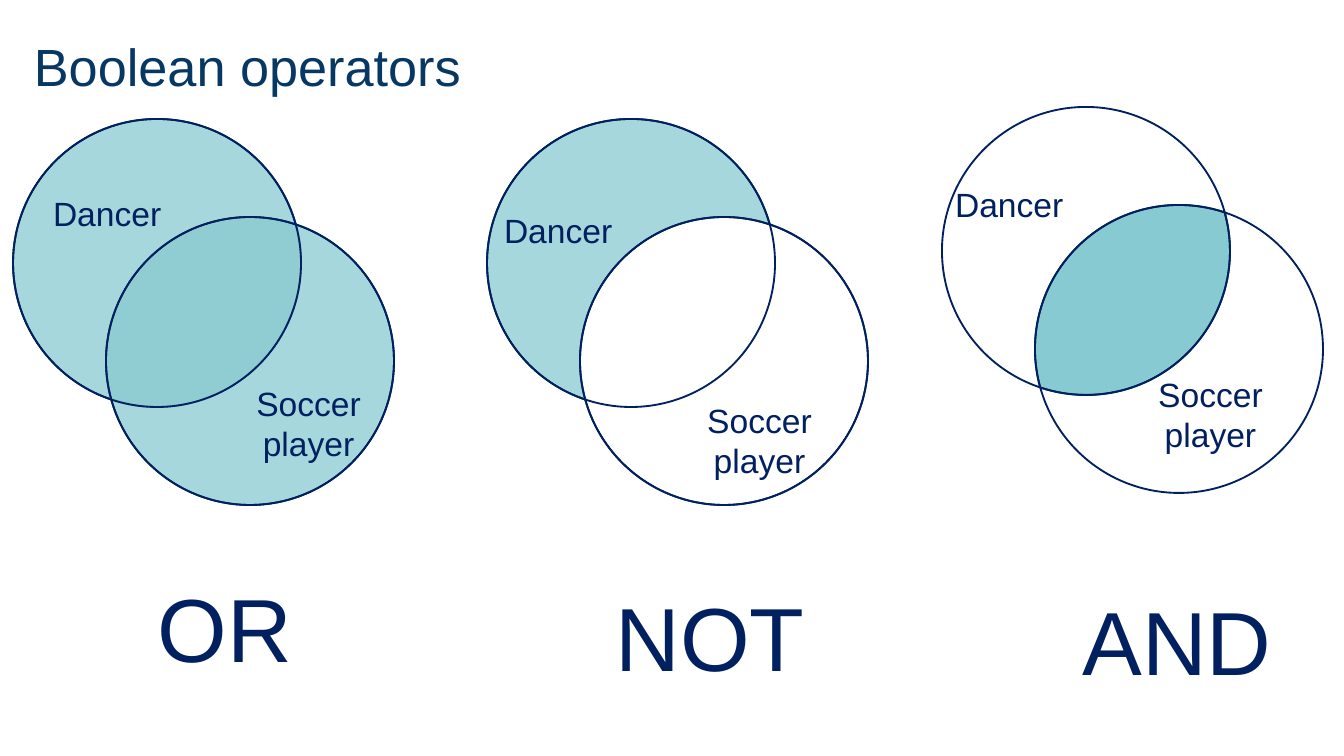
import math

import lxml.etree
import pptx
import pptx.dml.color
import pptx.enum.shapes
import pptx.enum.text
import pptx.oxml.ns
import pptx.util

NAVY = pptx.dml.color.RGBColor(0x00, 0x20, 0x60)
TITLE_BLUE = pptx.dml.color.RGBColor(0x07, 0x37, 0x63)
TEAL = pptx.dml.color.RGBColor(0x88, 0xCA, 0xD1)
WHITE = pptx.dml.color.RGBColor(0xFF, 0xFF, 0xFF)

EMU_PER_PX = 914400 / 134.4
SLIDE_SIZE = (1344, 756)
DIAMETER = 288
RADIUS = DIAMETER / 2
OFFSET = (93, 98)
LABEL_SIZE = (195, 79)
OPERATOR_SIZE = (230, 116)
SOCCER_SHIFT = (171, 190)

TITLE = ("Boolean operators", (24, 23), (1253, 85))
CIRCLE_DIAGRAMS = [
    {"origin": (13, 119), "fills": [(TEAL, 75), (TEAL, 75)]},
    {"origin": (487, 119), "fills": [(TEAL, 75), (WHITE, 100)]},
]
AND_ORIGIN = (942, 107)
CAPTIONS = [
    ("OR", (110, 560), (40, 180)),
    ("NOT", (595, 569), (491, 197)),
    ("AND", (1062, 573), (942, 171)),
]


def px(value):
    return pptx.util.Emu(round(value * EMU_PER_PX))


def shifted(point, shift):
    return point[0] + shift[0], point[1] + shift[1]


def style(shape, color=None, opacity=100):
    shape.shadow.inherit = False
    shape.line.color.rgb = NAVY
    shape.line.width = pptx.util.Pt(1)
    if color is None:
        shape.fill.background()
        return
    shape.fill.solid()
    shape.fill.fore_color.rgb = color
    if opacity < 100:
        color_element = shape.fill._xPr.find(".//" + pptx.oxml.ns.qn("a:srgbClr"))
        alpha = lxml.etree.SubElement(color_element, pptx.oxml.ns.qn("a:alpha"))
        alpha.set("val", str(opacity * 1000))


def add_circle(slide, origin, color=None, opacity=100):
    circle = slide.shapes.add_shape(
        pptx.enum.shapes.MSO_SHAPE.OVAL,
        px(origin[0]), px(origin[1]), px(DIAMETER), px(DIAMETER))
    style(circle, color, opacity)


def arc(center, start, end):
    low, high = sorted((start, end))
    quarter = math.pi / 2
    extremes = range(math.ceil(low / quarter), math.floor(high / quarter) + 1)
    angles = [low] + [number * quarter for number in extremes] + [high]
    if start > end:
        angles.reverse()

    def point(angle, tangent=0):
        return (px(center[0] + RADIUS * (math.cos(angle) - tangent * math.sin(angle))),
                px(center[1] + RADIUS * (math.sin(angle) + tangent * math.cos(angle))))

    curves = []
    for first, last in zip(angles, angles[1:]):
        handle = 4 / 3 * math.tan((last - first) / 4)
        curves.append((point(first, handle), point(last, -handle), point(last)))
    return curves


def add_region(slide, curves, color=None):
    ends = [curve[-1] for curve in curves]
    builder = slide.shapes.build_freeform(*ends[-1], scale=1.0)
    builder.add_line_segments(ends, close=True)
    region = builder.convert_to_shape()
    segments = list(region._element.iter(pptx.oxml.ns.qn("a:lnTo")))
    for segment, curve in zip(segments, curves):
        bezier = lxml.etree.Element(pptx.oxml.ns.qn("a:cubicBezTo"))
        for x, y in curve:
            lxml.etree.SubElement(bezier, pptx.oxml.ns.qn("a:pt"),
                                  x=str(x - region.left), y=str(y - region.top))
        segment.getparent().replace(segment, bezier)
    style(region, color)


def add_and_regions(slide):
    dancer = shifted(AND_ORIGIN, (RADIUS, RADIUS))
    soccer = shifted(dancer, OFFSET)
    axis = math.atan2(OFFSET[1], OFFSET[0])
    half = math.acos(math.hypot(*OFFSET) / DIAMETER)
    back, turn = axis + math.pi, 2 * math.pi
    dancer_inner = (dancer, axis - half, axis + half)
    soccer_inner = (soccer, back - half, back + half)
    dancer_outer = (dancer, axis + half, axis + turn - half)
    soccer_outer = (soccer, back + half, back + turn - half)
    add_region(slide, arc(*dancer_inner) + arc(*soccer_inner), TEAL)
    for outer, (center, start, end) in ((dancer_outer, soccer_inner),
                                        (soccer_outer, dancer_inner)):
        add_region(slide, arc(*outer) + arc(center, end, start))


def add_text(slide, text, origin, size, points, color=NAVY, inset=13,
             align=pptx.enum.text.PP_ALIGN.CENTER, anchor=pptx.enum.text.MSO_ANCHOR.TOP):
    box = slide.shapes.add_textbox(*(px(value) for value in origin + size))
    frame = box.text_frame
    frame.word_wrap = True
    frame.vertical_anchor = anchor
    frame.margin_left = frame.margin_right = px(inset)
    frame.margin_top = frame.margin_bottom = px(inset)
    paragraph = frame.paragraphs[0]
    paragraph.alignment = align
    run = paragraph.add_run()
    run.text = text
    run.font.name = "Arial"
    run.font.size = pptx.util.Pt(points)
    run.font.color.rgb = color


def main():
    presentation = pptx.Presentation()
    presentation.slide_width, presentation.slide_height = map(px, SLIDE_SIZE)
    slide = presentation.slides.add_slide(presentation.slide_layouts[6])
    left = pptx.enum.text.PP_ALIGN.LEFT

    for diagram in CIRCLE_DIAGRAMS:
        origins = [diagram["origin"], shifted(diagram["origin"], OFFSET)]
        for origin, (color, opacity) in zip(origins, diagram["fills"]):
            add_circle(slide, origin, color, opacity)
        for origin in origins:
            add_circle(slide, origin)
    add_and_regions(slide)

    add_text(slide, *TITLE, 28, TITLE_BLUE, 10, left, pptx.enum.text.MSO_ANCHOR.MIDDLE)
    for operator, operator_origin, dancer_origin in CAPTIONS:
        add_text(slide, operator, operator_origin, OPERATOR_SIZE, 48)
        add_text(slide, "Dancer", dancer_origin, LABEL_SIZE, 18, align=left)
        add_text(slide, "Soccer player", shifted(dancer_origin, SOCCER_SHIFT), LABEL_SIZE, 18)

    presentation.save("out.pptx")


if __name__ == "__main__":
    main()
